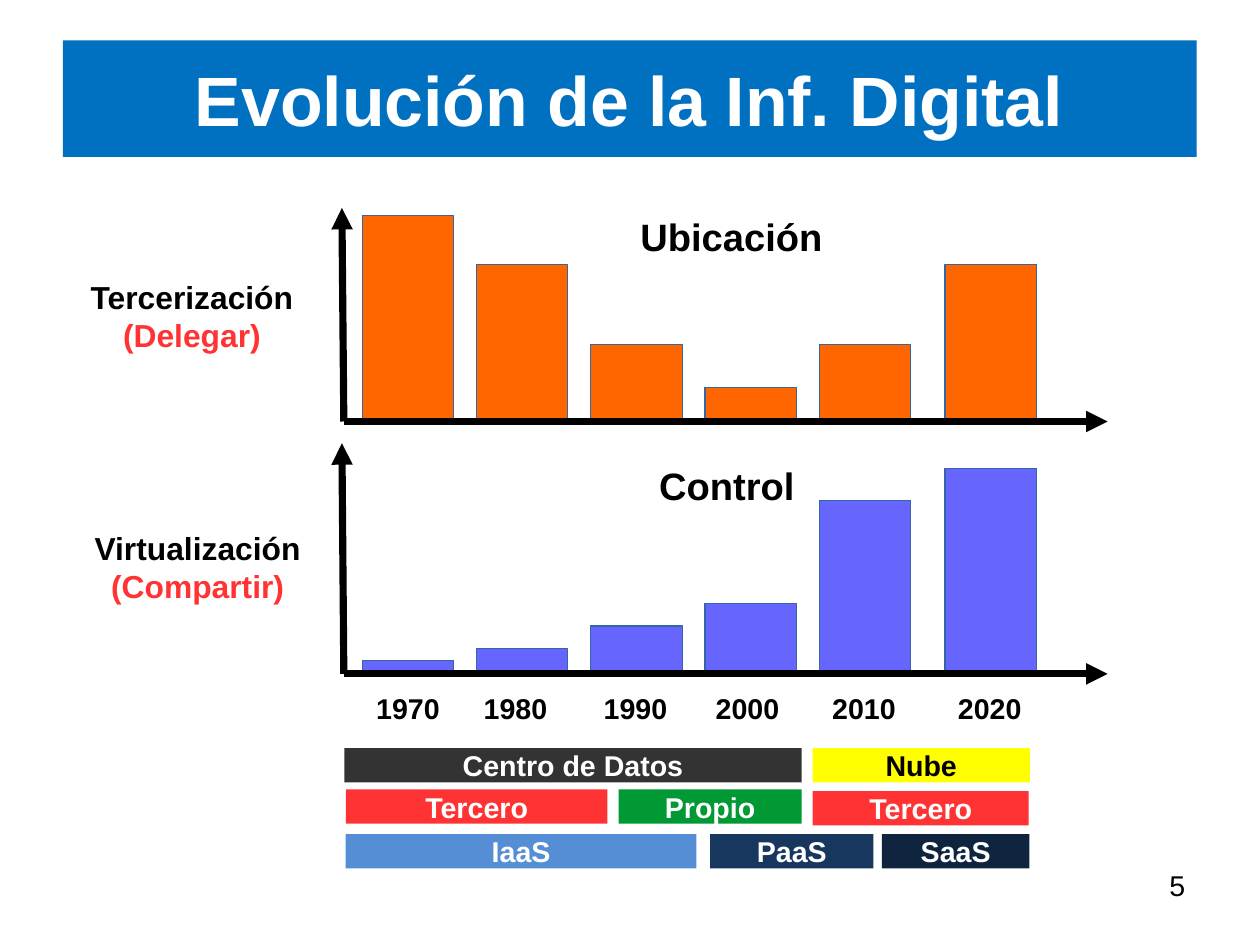
from lxml import etree
from pptx import Presentation
from pptx.dml.color import RGBColor
from pptx.enum.shapes import MSO_CONNECTOR, MSO_SHAPE
from pptx.enum.text import MSO_ANCHOR as Anchor, PP_ALIGN as Align
from pptx.oxml.ns import qn
from pptx.util import Pt

COLORS = {
    "white": "FFFFFF", "black": "000000", "title": "0070C0",
    "orange": "FF6600", "violet": "6666FF", "outline": "3465A4",
    "red": "FF3333", "green": "009933", "yellow": "FFFF00", "gray": "333333",
    "light blue": "558ED5", "blue": "17375E", "navy": "0F243E",
}
FONT = "Arial"
TITLE = "Evolución de la Inf. Digital"
PAGE_NUMBER = "5"

# Year and left edge of its label
YEARS = [("1970", 224.6), ("1980", 292.3), ("1990", 367.9),
         ("2000", 438.5), ("2010", 511.9), ("2020", 591.1)]

CHARTS = [
    {"name": "Ubicación", "name_at": (388.8, 131), "color": "orange",
     "baseline": 265.5, "top": 131, "heights": [129.6, 98.7, 48.3, 21.6, 48.3, 98.7],
     "axis_label": ("Tercerización", "(Delegar)"), "label_box": (39.6, 171.4, 162.7, 47.5)},
    {"name": "Control", "name_at": (385.9, 287.8), "color": "violet",
     "baseline": 424.5, "top": 279.2, "heights": [8.6, 15.8, 30.2, 44.6, 109.4, 129.6],
     "axis_label": ("Virtualización", "(Compartir)"), "label_box": (39.6, 329.6, 169.9, 47.5)},
]

# Text, left, top, width, fill, text color
BANDS = [
    ("Centro de Datos", 217, 471.3, 288, "gray", "white"),
    ("Nube", 512, 471.3, 136.8, "yellow", "black"),
    ("Tercero", 217.8, 497.3, 164.9, "red", "white"),
    ("Propio", 389.8, 497.3, 115.2, "green", "white"),
    ("Tercero", 512, 498.3, 136.1, "red", "white"),
    ("IaaS", 217.8, 525.4, 221, "light blue", "white"),
    ("PaaS", 447.3, 525.4, 103, "blue", "white"),
    ("SaaS", 555.6, 525.4, 92.9, "navy", "white"),
]

BAR_LEFT, BAR_STEP, BAR_WIDTH = 228.2, 72, 57.6
LAST_BAR_SHIFT = 7.2
AXIS_LEFT, AXIS_RIGHT, AXIS_LEAN = 216.6, 697.8, 1.2
BAND_HEIGHT = 21.6

presentation = Presentation()
presentation.slide_width, presentation.slide_height = Pt(793.75), Pt(595.25)
slide = presentation.slides.add_slide(presentation.slide_layouts[6])


def rgb(color):
    return RGBColor.from_string(COLORS[color])


def write(shape, lines, size, bold=True, align=Align.CENTER, **frame_format):
    """Fill a shape with one paragraph for each (text, color) pair."""
    frame = shape.text_frame
    for name, value in frame_format.items():
        setattr(frame, name, value)
    for index, (text, color) in enumerate(lines):
        paragraph = frame.add_paragraph() if index else frame.paragraphs[0]
        paragraph.alignment = align
        run = paragraph.add_run()
        run.text = text
        for name, value in {"name": FONT, "size": Pt(size), "bold": bold}.items():
            setattr(run.font, name, value)
        run.font.color.rgb = rgb(color)


def add_label(box, lines, size, **text_format):
    shape = slide.shapes.add_textbox(*map(Pt, box))
    write(shape, lines, size, word_wrap=True, **text_format)


def add_block(box, fill, outline=None, kind=MSO_SHAPE.RECTANGLE):
    shape = slide.shapes.add_shape(kind, *map(Pt, box))
    shape.shadow.inherit = False
    shape.fill.solid()
    shape.fill.fore_color.rgb = rgb(fill)
    if outline:
        shape.line.color.rgb = rgb(outline)
        shape.line.width = Pt(0.75)
    else:
        shape.line.fill.background()
    return shape


def add_axis(start, end):
    axis = slide.shapes.add_connector(MSO_CONNECTOR.STRAIGHT, *map(Pt, start + end))
    axis.line.color.rgb = rgb("black")
    axis.line.width = Pt(4.5)
    etree.SubElement(axis.line._get_or_add_ln(), qn("a:tailEnd"), type="triangle")
    etree.SubElement(axis._element.spPr, qn("a:effectLst"))


def add_bar_chart(chart):
    baseline = chart["baseline"]
    origin = (AXIS_LEFT, baseline)
    first, second = chart["axis_label"]
    add_label(chart["label_box"], [(first, "black"), (second, "red")], 20)
    add_axis(origin, (AXIS_LEFT - AXIS_LEAN, chart["top"]))
    last = len(chart["heights"]) - 1
    for index, height in enumerate(chart["heights"]):
        left = BAR_LEFT + index * BAR_STEP + (LAST_BAR_SHIFT if index == last else 0)
        add_block((left, baseline - height, BAR_WIDTH, height), chart["color"],
                  "outline", MSO_SHAPE.FLOWCHART_PROCESS)
    add_axis(origin, (AXIS_RIGHT, baseline))
    add_label(chart["name_at"] + (144, 27.4), [(chart["name"], "black")], 24)


title = add_block((39.6, 25.4, 714.3, 73.4), "title")
write(title, [(TITLE, "white")], 44, vertical_anchor=Anchor.MIDDLE,
      margin_left=0, margin_right=0, margin_top=0, margin_bottom=0)

for chart in CHARTS:
    add_bar_chart(chart)

for year, left in YEARS:
    add_label((left, 431.7, 64.8, 27.4), [(year, "black")], 18)

for text, left, top, width, fill, color in BANDS:
    band = add_block((left, top, width, BAND_HEIGHT), fill)
    write(band, [(text, color)], 18, vertical_anchor=Anchor.MIDDLE, word_wrap=False)

add_label((606.2, 542.9, 147.6, 28.8), [(PAGE_NUMBER, "black")], 18,
          bold=False, align=Align.RIGHT)

presentation.save("out.pptx")
